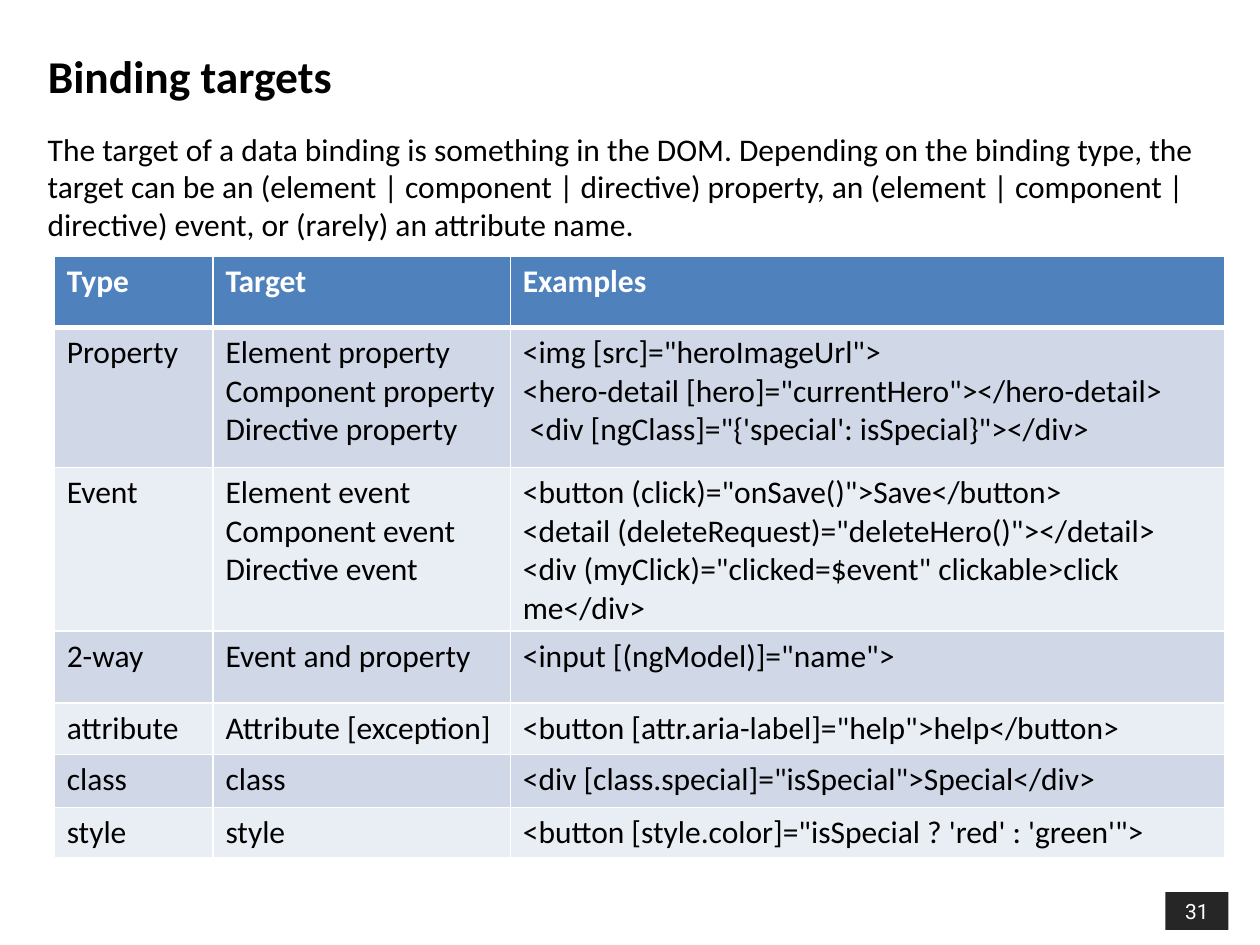
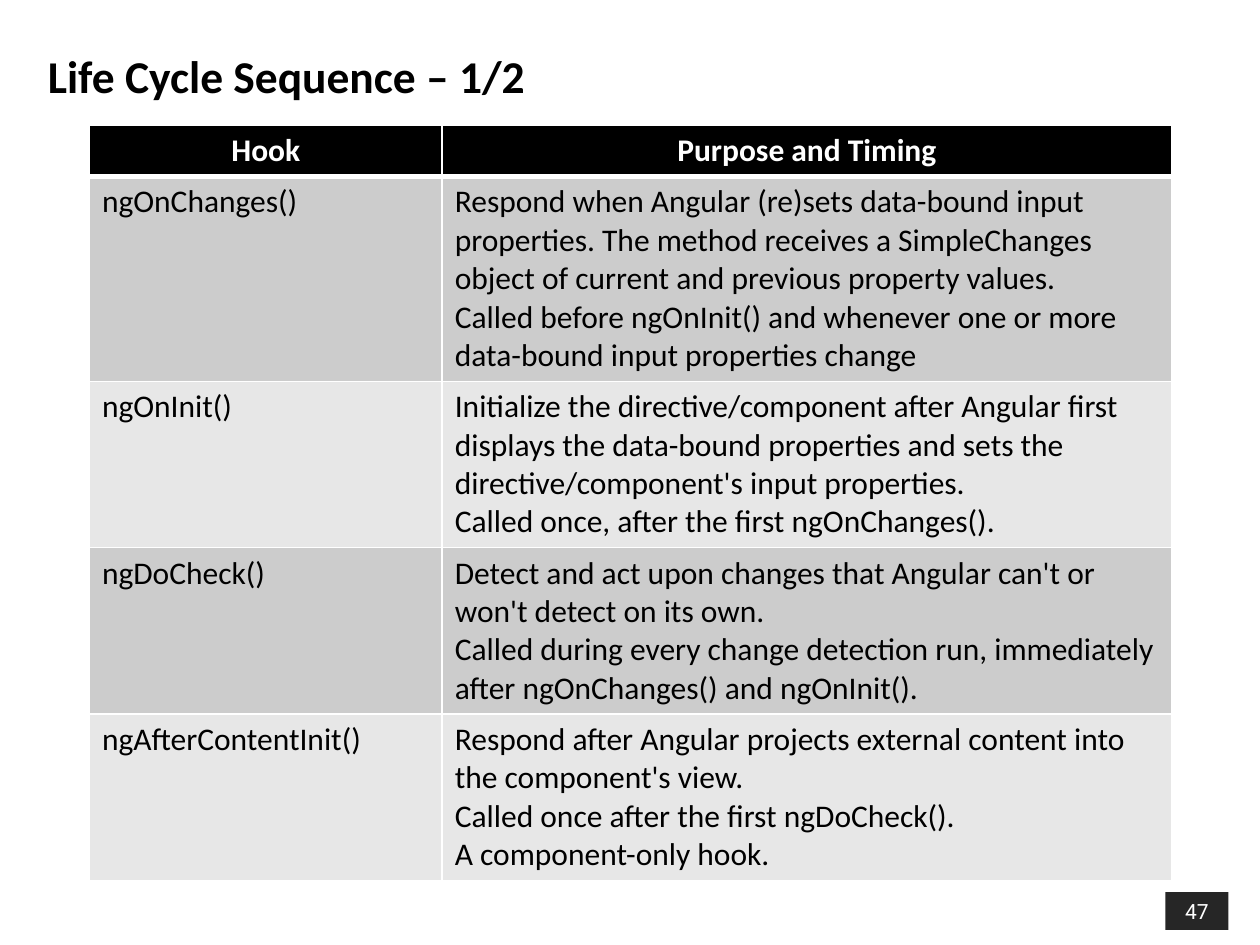
from dataclasses import dataclass

from lxml.etree import SubElement
from pptx import Presentation
from pptx.dml.color import RGBColor
from pptx.enum.shapes import MSO_SHAPE as Preset
from pptx.enum.text import MSO_ANCHOR as Anchor, MSO_AUTO_SIZE as AutoSize, PP_ALIGN as Align
from pptx.oxml.ns import qn
from pptx.slide import Slide
from pptx.table import _Cell as Cell
from pptx.text.text import TextFrame
from pptx.util import Inches, Pt

WHITE = RGBColor(0xFF, 0xFF, 0xFF)
BLACK = RGBColor(0x00, 0x00, 0x00)
BADGE = RGBColor(0x26, 0x26, 0x26)
BLUE = RGBColor(0x4F, 0x81, 0xBD)
BLUE_BANDS = (RGBColor(0xD0, 0xD8, 0xE8), RGBColor(0xE9, 0xED, 0xF4))
GREY_BANDS = (RGBColor(0xCC, 0xCC, 0xCC), RGBColor(0xE7, 0xE7, 0xE7))

TITLE_FONT = {"name": "Calibri", "size": Pt(26), "bold": True}
BODY_FONT = {"name": "Calibri", "size": Pt(18), "bold": False}
HEADER_FONT = BODY_FONT | {"bold": True}
PAGE_FONT = {"name": "Roboto", "size": Pt(12), "bold": False}

TITLE_ONLY = 5
LEFT_EDGE = 0.28


@dataclass(frozen=True)
class TableSpec:
    box: tuple[float, float, float, float]
    columns: tuple[float, ...]
    row_heights: tuple[float, ...]
    header_fill: RGBColor
    bands: tuple[RGBColor, RGBColor]
    header_align: Align
    rows: tuple[tuple[str, ...], ...]


@dataclass(frozen=True)
class Page:
    number: int
    title: str
    table: TableSpec
    intro: str = ""


BINDING_TARGETS = TableSpec(
    box=(0.43, 2.03, 9.29, 4.79),
    columns=(1.26, 2.36, 5.67),
    row_heights=(0.57, 1.11, 0.57, 0.57, 0.41, 0.42, 0.4),
    header_fill=BLUE,
    bands=BLUE_BANDS,
    header_align=Align.LEFT,
    rows=(
        ("Type", "Target", "Examples"),
        ("Property",
         "Element property\nComponent property\nDirective property",
         '<img [src]="heroImageUrl">\n'
         '<hero-detail [hero]="currentHero"></hero-detail>\n'
         ' <div [ngClass]="{\'special\': isSpecial}"></div>'),
        ("Event",
         "Element event\nComponent event\nDirective event",
         '<button (click)="onSave()">Save</button>\n'
         '<detail (deleteRequest)="deleteHero()"></detail>\n'
         '<div (myClick)="clicked=$event" clickable>click me</div>'),
        ("2-way", "Event and property", '<input [(ngModel)]="name">'),
        ("attribute", "Attribute [exception]",
         '<button [attr.aria-label]="help">help</button>'),
        ("class", "class", '<div [class.special]="isSpecial">Special</div>'),
        ("style", "style", "<button [style.color]=\"isSpecial ? 'red' : 'green'\">"),
    ),
)

LIFE_CYCLE_HOOKS = TableSpec(
    box=(0.71, 0.99, 8.58, 5.91),
    columns=(2.8, 5.79),
    row_heights=(0.41,) + (1.07,) * 4,
    header_fill=BLACK,
    bands=GREY_BANDS,
    header_align=Align.CENTER,
    rows=(
        ("Hook", "Purpose and Timing"),
        ("ngOnChanges()",
         "Respond when Angular (re)sets data-bound input properties. The method receives "
         "a SimpleChanges object of current and previous property values.\n"
         "Called before ngOnInit() and whenever one or more data-bound input properties change"),
        ("ngOnInit()",
         "Initialize the directive/component after Angular first displays the data-bound "
         "properties and sets the directive/component's input properties.\n"
         "Called once, after the first ngOnChanges()."),
        ("ngDoCheck()",
         "Detect and act upon changes that Angular can't or won't detect on its own.\n"
         "Called during every change detection run, immediately after ngOnChanges() "
         "and ngOnInit()."),
        ("ngAfterContentInit()",
         "Respond after Angular projects external content into the component's view.\n"
         "Called once after the first ngDoCheck().\n"
         "A component-only hook."),
    ),
)

PAGES = (
    Page(31, "Binding targets", BINDING_TARGETS,
         "The target of a data binding is something in the DOM. Depending on the binding "
         "type, the target can be an (element | component | directive) property, an "
         "(element | component | directive) event, or (rarely) an attribute name."),
    Page(47, "Life Cycle Sequence – 1/2", LIFE_CYCLE_HOOKS),
)


def write(frame: TextFrame, text: str, font: dict, color: RGBColor,
          align: Align = Align.LEFT) -> None:
    frame.text = text
    frame.word_wrap = True
    for paragraph in frame.paragraphs:
        paragraph.alignment = align
        for run in paragraph.runs:
            for attribute, value in font.items():
                setattr(run.font, attribute, value)
            run.font.color.rgb = color


def add_border(cell: Cell, edge: str, width: int) -> None:
    line = SubElement(cell._tc.get_or_add_tcPr(), qn(f"a:{edge}"), w=str(Pt(width)))
    fill = SubElement(line, qn("a:solidFill"))
    SubElement(fill, qn("a:srgbClr"), val=str(WHITE))


def add_grid(slide: Slide, spec: TableSpec) -> None:
    frame = slide.shapes.add_table(len(spec.rows), len(spec.columns), *map(Inches, spec.box))
    table = frame.table
    for column, width in zip(table.columns, spec.columns):
        column.width = Inches(width)
    for row, height in zip(table.rows, spec.row_heights):
        row.height = Inches(height)
    frame.height = Inches(spec.box[3])

    for row_index, texts in enumerate(spec.rows):
        is_header = row_index == 0
        # The thick rule under the header also belongs to the row below it.
        borders = {"lnL": 1, "lnR": 1, "lnT": 3 if row_index == 1 else 1,
                   "lnB": 3 if is_header else 1}
        for column_index, text in enumerate(texts):
            cell = table.cell(row_index, column_index)
            for edge, width in borders.items():
                add_border(cell, edge, width)
            cell.fill.solid()
            if is_header:
                cell.fill.fore_color.rgb = spec.header_fill
                write(cell.text_frame, text, HEADER_FONT, WHITE, spec.header_align)
            else:
                cell.fill.fore_color.rgb = spec.bands[(row_index - 1) % 2]
                write(cell.text_frame, text, BODY_FONT, BLACK)


def add_page_badge(slide: Slide, number: int) -> None:
    badge = slide.shapes.add_shape(
        Preset.RECTANGLE, Inches(9.25), Inches(7.08), Inches(0.5), Inches(0.3))
    badge.shadow.inherit = False
    badge.fill.solid()
    badge.fill.fore_color.rgb = BADGE
    badge.line.fill.background()
    write(badge.text_frame, str(number), PAGE_FONT, WHITE, Align.CENTER)


def set_title(slide: Slide, text: str) -> None:
    title = slide.shapes.title
    box = {"left": LEFT_EDGE, "top": 0.21, "width": 7.94, "height": 0.77}
    for attribute, length in box.items():
        setattr(title, attribute, Inches(length))
    title.text_frame.vertical_anchor = Anchor.MIDDLE
    title.text_frame.auto_size = AutoSize.NONE
    write(title.text_frame, text, TITLE_FONT, BLACK)


def add_intro(slide: Slide, text: str) -> None:
    intro = slide.shapes.add_textbox(
        Inches(LEFT_EDGE), Inches(0.98), Inches(9.45), Inches(1.01))
    write(intro.text_frame, text, BODY_FONT, BLACK)
    intro.text_frame.auto_size = AutoSize.SHAPE_TO_FIT_TEXT


def main() -> None:
    deck = Presentation()
    deck.slide_width, deck.slide_height = Inches(10), Inches(7.5)
    for page in PAGES:
        slide = deck.slides.add_slide(deck.slide_layouts[TITLE_ONLY])
        add_page_badge(slide, page.number)
        set_title(slide, page.title)
        if page.intro:
            add_intro(slide, page.intro)
        add_grid(slide, page.table)
    deck.save("out.pptx")


if __name__ == "__main__":
    main()
